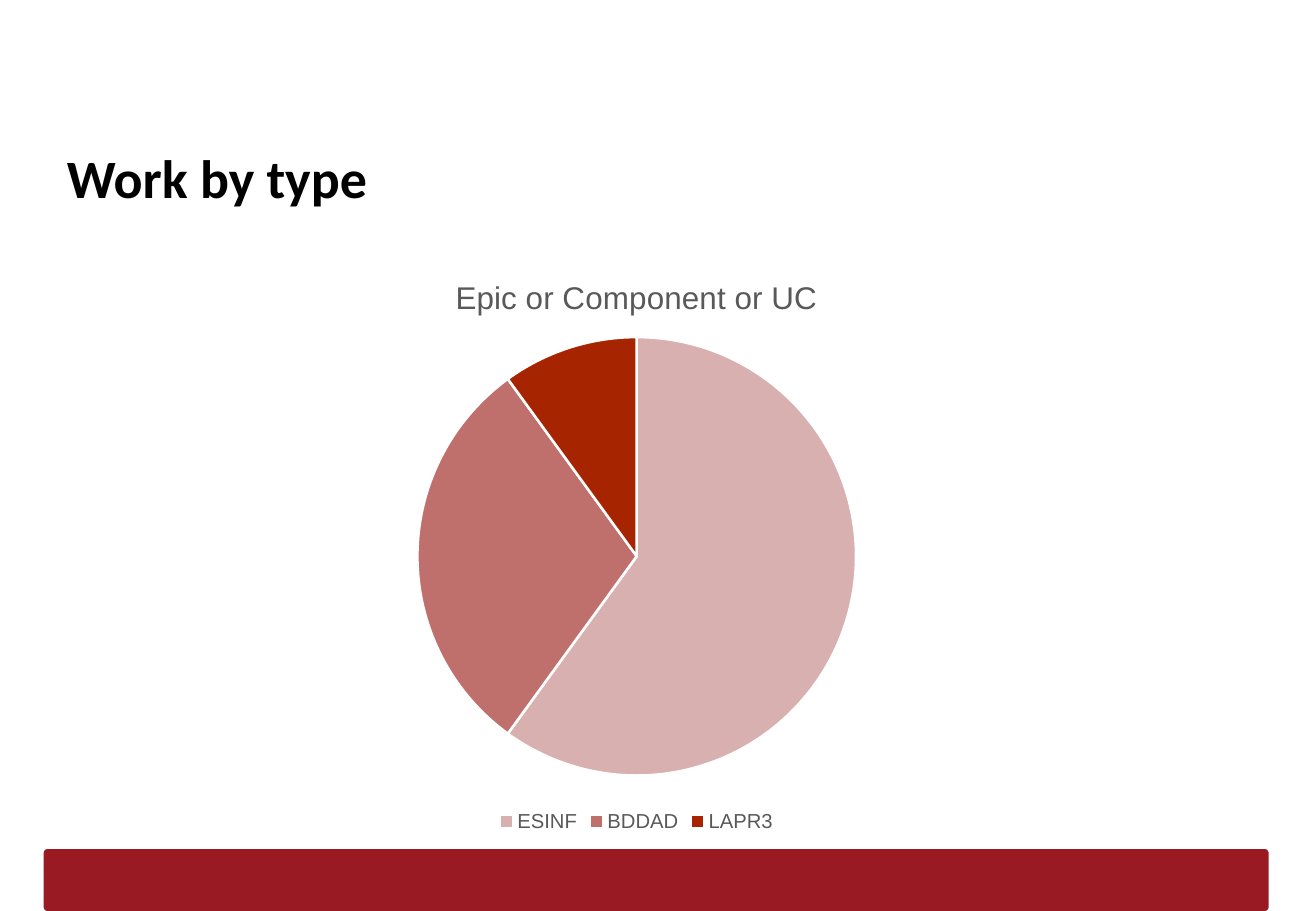
import pptx
import pptx.chart.data
import pptx.dml.color
import pptx.enum.chart
import pptx.enum.shapes
import pptx.enum.text
import pptx.oxml
import pptx.oxml.ns
import pptx.util

Inches, Pt = pptx.util.Inches, pptx.util.Pt
RGBColor = pptx.dml.color.RGBColor

BLACK = RGBColor(0x00, 0x00, 0x00)
WHITE = RGBColor(0xFF, 0xFF, 0xFF)
GREY = RGBColor(0x59, 0x59, 0x59)
CRIMSON = RGBColor(0x9A, 0x1A, 0x24)

TITLE = "Work by type"
CHART_TITLE = "Epic or Component or UC"
WORK = [
    ("ESINF", 60, RGBColor(0xD7, 0xB0, 0xAF)),
    ("BDDAD", 30, RGBColor(0xBF, 0x70, 0x6C)),
    ("LAPR3", 10, RGBColor(0xA7, 0x24, 0x00)),
]
PIE_AREA = {"x": 0.25, "y": 0.14, "w": 0.5, "h": 0.76}


def set_font(font, name, size, color, bold=False):
    font.name, font.size, font.bold = name, Pt(size), bold
    font.color.rgb = color


def add_title(s):
    sp = s.shapes.title
    sp.left, sp.top, sp.width, sp.height = map(Inches, (0.45, 1.09, 9.89, 0.63))
    tf = sp.text_frame
    tf.text = TITLE
    tf.word_wrap = True
    tf.auto_size = pptx.enum.text.MSO_AUTO_SIZE.NONE
    tf.vertical_anchor = pptx.enum.text.MSO_ANCHOR.TOP
    tf.margin_left = tf.margin_right = tf.margin_top = tf.margin_bottom = Inches(0.1)
    p = tf.paragraphs[0]
    p.alignment = pptx.enum.text.PP_ALIGN.LEFT
    set_font(p.runs[0].font, "Calibri", 32, BLACK, True)


def add_footer_bar(s):
    bar = s.shapes.add_shape(
        pptx.enum.shapes.MSO_SHAPE.ROUNDED_RECTANGLE,
        Inches(0.36), Inches(6.99), Inches(10.08), Inches(0.51))
    bar.adjustments[0] = 0.06
    bar.shadow.inherit = False
    bar.fill.solid()
    bar.fill.fore_color.rgb = CRIMSON
    bar.line.fill.background()


def place_pie(chart):
    plot_area = chart.plots[0]._element.getparent()
    for old in plot_area.findall(pptx.oxml.ns.qn("c:layout")):
        plot_area.remove(old)
    sizes = "".join(f'<c:{k} val="{v}"/>' for k, v in PIE_AREA.items())
    plot_area.insert(0, pptx.oxml.parse_xml(
        f'<c:layout {pptx.oxml.ns.nsdecls("c")}><c:manualLayout>'
        '<c:layoutTarget val="inner"/><c:xMode val="edge"/><c:yMode val="edge"/>'
        f'{sizes}</c:manualLayout></c:layout>'))


def add_pie(s):
    data = pptx.chart.data.CategoryChartData()
    data.categories = [name for name, _, _ in WORK]
    data.add_series("Series 1", [value for _, value, _ in WORK])
    chart = s.shapes.add_chart(
        pptx.enum.chart.XL_CHART_TYPE.PIE,
        Inches(1.63), Inches(2.08), Inches(7.22), Inches(4.81), data).chart
    set_font(chart.font, "Arial", 10, BLACK)
    chart.has_title = True
    tf = chart.chart_title.text_frame
    tf.text = CHART_TITLE
    set_font(tf.paragraphs[0].runs[0].font, "Arial", 18.6, GREY)
    chart.chart_title.include_in_layout = False
    chart.has_legend = True
    chart.legend.position = pptx.enum.chart.XL_LEGEND_POSITION.BOTTOM
    chart.legend.include_in_layout = False
    set_font(chart.legend.font, "Arial", 12, GREY)
    plot = chart.plots[0]
    plot.vary_by_categories = True
    for i, (_, _, color) in enumerate(WORK):
        fmt = plot.series[0].points[i].format
        fmt.fill.solid()
        fmt.fill.fore_color.rgb = color
        fmt.line.color.rgb = WHITE
        fmt.line.width = Pt(1.5)
    place_pie(chart)


def main():
    """Build the work by type slide."""
    prs = pptx.Presentation()
    prs.slide_width, prs.slide_height = Inches(10.83), Inches(7.5)
    s = prs.slides.add_slide(prs.slide_layouts[5])
    s.background.fill.solid()
    s.background.fill.fore_color.rgb = WHITE
    add_footer_bar(s)
    add_title(s)
    add_pie(s)
    prs.save("out.pptx")


if __name__ == "__main__":
    main()
